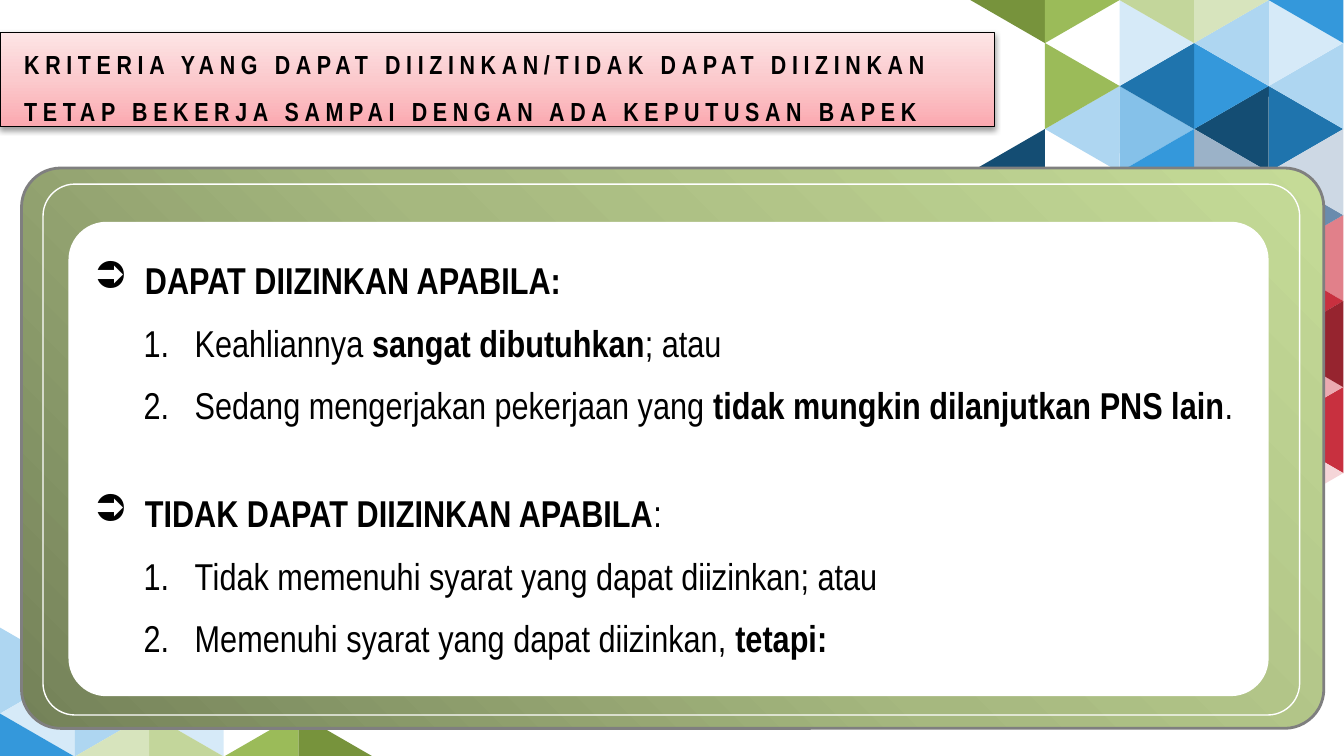
"""Build the slide on criteria for staying at work until the BAPEK decision."""
import copy
import math

import lxml.etree
import pptx
import pptx.dml.color
import pptx.enum.shapes
import pptx.enum.text
import pptx.oxml.ns
import pptx.util

WIDTH, HEIGHT = 10, 5.625
COLUMN, ROW = 0.555, 0.32
FONT = "Arial Narrow"
SHAPE = pptx.enum.shapes.MSO_SHAPE

COLORS = {
    "black": "000000", "white": "FFFFFF", "gray": "7F7F7F",
    "navy": "144D73", "blue": "1F74AD", "azure": "3498DB",
    "sky": "85C1E9", "pale": "AED6F1", "ice": "D6EAF8",
    "olive": "77933C", "green": "9BBB59", "sage": "C3D69B", "mint": "D7E4BD",
    "steel": "6A8BAD", "mist": "9BB2C8", "fog": "CDD8E4",
    "wine": "96242F", "red": "C8303F", "rose": "E1808A", "pink": "EBAAB1",
    "blush": "F5D5D8",
    "title_low": "FBA9B0", "title_mid": "FBCACD", "title_high": "FDE5E6",
    "frame_low": "748259", "frame_mid": "A6B87F", "frame_high": "C5DB97",
}

TOP_MOSAIC = [
    (3, 3, 30, "navy"), (4, 3, 330, "blue"), (4, 2, 270, "pale"),
    (4, 1, 210, "ice"), (3, 2, 90, "azure"), (3, 1, 150, "pale"),
    (1, 3, 30, "pale"), (2, 3, 330, "sky"), (2, 2, 270, "blue"),
    (2, 1, 210, "ice"), (1, 2, 90, "green"), (3, 4, 210, "mist"),
    (2, 4, 150, "azure"), (0, 4, 150, "navy"), (2, 0, 30, "sage"),
    (3, 0, 330, "mint"), (0, 0, 30, "olive"), (1, 0, 330, "green"),
    (4, 0, 30, "azure"), (4, 6, 30, "rose"), (4, 5, 90, "steel"),
    (4, 4, 150, "fog"), (4, 7, 330, "red"), (4, 10, 30, "red"),
    (4, 9, 90, "pink"), (4, 8, 150, "wine"), (4, 11, 90, "blush"),
]
BOTTOM_MOSAIC = [
    (0, 1, 90, "pale"), (0, 2, 30, "ice"), (1, 2, 330, "pale"),
    (2, 2, 30, "ice"), (2, 3, 210, "sage"), (1, 3, 150, "mint"),
    (4, 3, 210, "olive"), (3, 3, 150, "green"), (0, 3, 210, "azure"),
]

TITLE = [
    "KRITERIA YANG DAPAT DIIZINKAN/TIDAK DAPAT DIIZINKAN",
    "TETAP BEKERJA SAMPAI DENGAN ADA KEPUTUSAN BAPEK",
]
CRITERIA = [
    ("head", [("DAPAT DIIZINKAN APABILA:", True)]),
    ("item", [("Keahliannya ", False), ("sangat dibutuhkan", True), ("; atau", False)]),
    ("item", [("Sedang mengerjakan pekerjaan yang ", False),
              ("tidak mungkin dilanjutkan PNS lain", True), (".", False)]),
    ("head", [("TIDAK DAPAT DIIZINKAN APABILA", True), (":", False)]),
    ("item", [("Tidak memenuhi syarat yang dapat diizinkan; atau", False)]),
    ("item", [("Memenuhi syarat yang dapat diizinkan, ", False), ("tetapi:", True)]),
]


def rgb(name):
    """Return the named colour."""
    return pptx.dml.color.RGBColor.from_string(COLORS[name])


def box(left, top, width, height):
    """Turn percentages of the slide's size into lengths."""
    sides = zip((left, top, width, height), (WIDTH, HEIGHT, WIDTH, HEIGHT))
    return [pptx.util.Inches(share * side / 100) for share, side in sides]


def subelement(parent, tag, **attributes):
    """Append a DrawingML element."""
    return lxml.etree.SubElement(parent, pptx.oxml.ns.qn(tag), attributes)


def set_gradient(sp, names, angle):
    """Fill a shape with evenly spaced colours along a counterclockwise angle."""
    sp.fill.gradient()
    sp.fill.gradient_angle = angle
    stops = sp._element.spPr.find(".//" + pptx.oxml.ns.qn("a:gsLst"))
    stops.append(copy.deepcopy(stops[0]))
    for i, (stop, name) in enumerate(zip(sp.fill.gradient_stops, names)):
        stop.color.rgb = rgb(name)
        stop.position = i / (len(names) - 1)


def set_line(sp, name, width):
    """Outline a shape."""
    sp.line.color.rgb = rgb(name)
    sp.line.width = pptx.util.Pt(width)


def set_font(r, size, bold):
    """Format a run."""
    r.font.name = FONT
    r.font.size = pptx.util.Pt(size)
    r.font.bold = bold
    r.font.color.rgb = rgb("black")


def set_indent(p, margin, first):
    """Set a paragraph's left margin and first-line indent in inches."""
    pPr = p._p.get_or_add_pPr()
    pPr.set("marL", str(pptx.util.Inches(margin)))
    pPr.set("indent", str(pptx.util.Inches(first)))
    return pPr


def add_mosaic(s, left, top, tiles):
    """Add triangles whose centroids lie on a grid of columns and rows."""
    shapes = s.shapes.add_group_shape().shapes
    width, height = 2 * ROW, COLUMN
    for column, row, angle, color in tiles:
        third = 2 if angle in (30, 150, 270) else 1
        turn = math.radians(angle)
        x = left + (column + third / 3) * COLUMN + math.sin(turn) * height / 6
        y = top + row * ROW - math.cos(turn) * height / 6
        sides = (x - width / 2, y - height / 2, width, height)
        sp = shapes.add_shape(SHAPE.ISOSCELES_TRIANGLE, *map(pptx.util.Inches, sides))
        sp.rotation = angle
        sp.shadow.inherit = False
        sp.fill.solid()
        sp.fill.fore_color.rgb = rgb(color)
        sp.line.fill.background()


def add_title(s):
    """Format the title placeholder as a shaded banner."""
    sp = s.shapes.title
    sp.left, sp.top, sp.width, sp.height = box(0, 4.27, 74, 12.44)
    set_gradient(sp, ["title_low", "title_mid", "title_high"], 90)
    set_line(sp, "black", 0.75)
    effects = subelement(sp._element.spPr, "a:effectLst")
    shadow = subelement(effects, "a:outerShdw", blurRad=str(pptx.util.Pt(3.1)),
                        dist=str(pptx.util.Pt(1.6)), dir="5400000", rotWithShape="0")
    color = subelement(shadow, "a:srgbClr", val=COLORS["black"])
    subelement(color, "a:alpha", val="38000")
    tf = sp.text_frame
    tf.text = "\n".join(TITLE)
    tf.word_wrap = True
    tf.auto_size = pptx.enum.text.MSO_AUTO_SIZE.NONE
    tf.vertical_anchor = pptx.enum.text.MSO_ANCHOR.MIDDLE
    tf.margin_left = tf.margin_right = pptx.util.Inches(0.09)
    for p in tf.paragraphs:
        set_indent(p, 0.09, 0)
        p.alignment = pptx.enum.text.PP_ALIGN.LEFT
        p.line_spacing = 1.5
        p.space_before = pptx.util.Pt(0)
        for r in p.runs:
            set_font(r, 14, True)
            r.font._element.set("spc", "300")


def add_panel(shapes, place, radius):
    """Add an unfilled, unlined rounded panel."""
    sp = shapes.add_shape(SHAPE.ROUNDED_RECTANGLE, *box(*place))
    sp.adjustments[0] = radius
    sp.shadow.inherit = False
    sp.fill.background()
    sp.line.fill.background()
    return sp


def add_frame(s):
    """Add the green frame, its inner line and the white page."""
    shapes = s.shapes.add_group_shape().shapes
    frame = add_panel(shapes, (1.6, 22.22, 96.9, 74.13), 0.07)
    set_gradient(frame, ["frame_low", "frame_mid", "frame_high"], 45)
    set_line(frame, "gray", 1.5)
    set_line(add_panel(shapes, (3.2, 24.36, 93.5, 70.22), 0.06), "white", 0.75)
    page = add_panel(shapes, (5.1, 29.33, 89.3, 62.76), 0.08)
    page.fill.solid()
    page.fill.fore_color.rgb = rgb("white")


def add_criteria(s):
    """Add the two headed, numbered lists."""
    tf = s.shapes.add_textbox(*box(6, 30.76, 92.1, 74.84)).text_frame
    tf.word_wrap = True
    for i, (kind, parts) in enumerate(CRITERIA):
        p = tf.add_paragraph() if i else tf.paragraphs[0]
        p.line_spacing = 1.4
        if kind == "head":
            if i:
                p.space_before = pptx.util.Pt(24)
            subelement(set_indent(p, 0.38, -0.38), "a:buChar", char="➲")
        else:
            subelement(set_indent(p, 0.75, -0.38), "a:buAutoNum", type="arabicPeriod")
        for text, bold in parts:
            r = p.add_run()
            r.text = text
            set_font(r, 20, bold)


def main():
    """Build and save the slide."""
    prs = pptx.Presentation()
    prs.slide_width, prs.slide_height = map(pptx.util.Inches, (WIDTH, HEIGHT))
    s = prs.slides.add_slide(prs.slide_layouts[5])
    add_mosaic(s, 7.22, 0, TOP_MOSAIC)
    add_mosaic(s, 0, 4.67, BOTTOM_MOSAIC)
    add_title(s)
    add_frame(s)
    add_criteria(s)
    prs.save("out.pptx")


if __name__ == "__main__":
    main()
